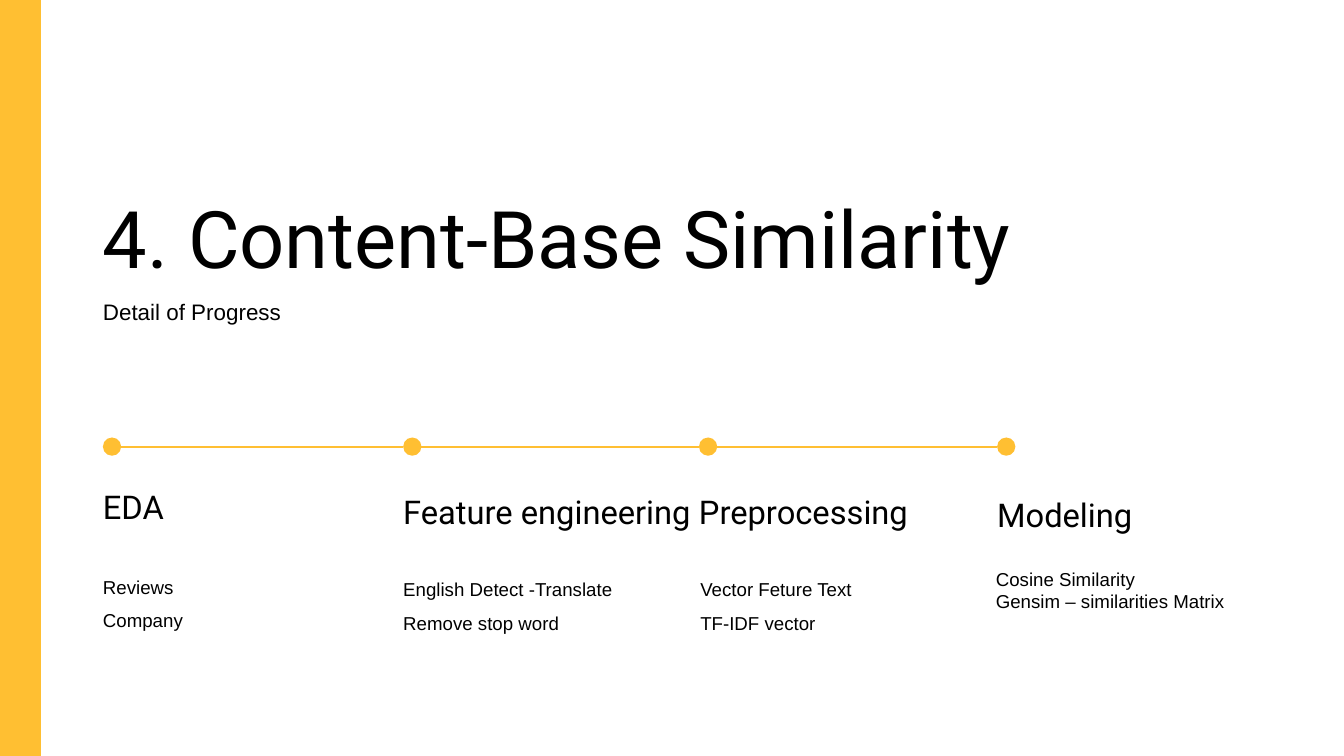
from lxml import etree
from pptx import Presentation
from pptx import util as u
from pptx.dml.color import RGBColor
from pptx.enum import shapes, text
from pptx.oxml.ns import qn

ACCENT = "FFBF32"
BLACK = "000000"
WIDTH, HEIGHT = 50.8, 28.58
LEFT = 3.89
DOT = 0.69
DOT_TOP = 16.54


def color(value):
    return RGBColor.from_string(value)


def write(shape, content, font="Arial", size=20, spacing=1.5, inset=(0, 0)):
    """Fill a shape with one paragraph per line of content."""
    frame = shape.text_frame
    frame.word_wrap = True
    frame.auto_size = text.MSO_AUTO_SIZE.NONE
    frame.vertical_anchor = text.MSO_ANCHOR.TOP
    frame.margin_left = frame.margin_right = u.Cm(inset[0])
    frame.margin_top = frame.margin_bottom = u.Cm(inset[1])
    for index, line in enumerate(content.split("\n")):
        paragraph = frame.paragraphs[0] if index == 0 else frame.add_paragraph()
        paragraph.text = line
        paragraph.alignment = text.PP_ALIGN.LEFT
        paragraph.line_spacing = spacing
        paragraph.font.name = font
        paragraph.font.size = u.Pt(size)
        paragraph.font.color.rgb = color(BLACK)


class Deck:
    """Holds the accent colour, the heading font and the current slide."""

    def __init__(self, accent=ACCENT, heading_font="Roboto"):
        self.accent = accent
        self.heading_font = heading_font
        self.presentation = Presentation()
        self.presentation.slide_width = u.Cm(WIDTH)
        self.presentation.slide_height = u.Cm(HEIGHT)
        self.slide = self.presentation.slides.add_slide(
            self.presentation.slide_layouts[5])

    def title(self, content, left, top, width, height):
        shape = self.slide.shapes.title
        shape.left, shape.top = u.Cm(left), u.Cm(top)
        shape.width, shape.height = u.Cm(width), u.Cm(height)
        write(shape, content, font=self.heading_font, size=85, spacing=1.2)

    def label(self, content, left, top, width, height, **style):
        shape = self.slide.shapes.add_textbox(
            u.Cm(left), u.Cm(top), u.Cm(width), u.Cm(height))
        write(shape, content, **style)

    def heading(self, content, left, top, width, height):
        self.label(content, left, top, width, height,
                   font=self.heading_font, size=35, spacing=1.4)

    def solid(self, kind, left, top, width, height):
        shape = self.slide.shapes.add_shape(
            kind, u.Cm(left), u.Cm(top), u.Cm(width), u.Cm(height))
        shape.shadow.inherit = False
        shape.fill.solid()
        shape.fill.fore_color.rgb = color(self.accent)
        shape.line.fill.background()

    def line(self, start, end, y):
        connector = self.slide.shapes.add_connector(
            shapes.MSO_CONNECTOR.STRAIGHT,
            u.Cm(start), u.Cm(y), u.Cm(end), u.Cm(y))
        connector.line.color.rgb = color(self.accent)
        connector.line.width = u.Pt(2.25)
        etree.SubElement(connector._element.spPr, qn("a:effectLst"))


# Each step: dot left, (heading, top, width, height),
# (details, left, top, width, height), details style
STEPS = [
    (LEFT, ("EDA", 17.83, 9.86, 1.6),
     ("Reviews\nCompany", LEFT, 21.34, 9.86, 2.03), {}),
    (15.24, ("Feature engineering", 18.01, 11.05, 1.5),
     ("English Detect -Translate\nRemove stop word", 15.24, 21.44, 9.91, 2.13), {}),
    (26.42, ("Preprocessing", 18.01, 9.91, 1.6),
     ("Vector Feture Text\nTF-IDF vector", 26.47, 21.44, 9.91, 6.32), {}),
    (37.69, ("Modeling", 18.11, 9.96, 1.6),
     ("Cosine Similarity\nGensim – similarities Matrix", 37.39, 21.34, 13.2, 2.82),
     {"spacing": 1.0, "inset": (0.25, 0.13)}),
]


def main():
    deck = Deck()

    # Side band
    deck.solid(shapes.MSO_SHAPE.RECTANGLE, 0, 0, 1.55, HEIGHT)

    # Title and subtitle
    deck.title("4. Content-Base Similarity", LEFT, 6.43, 44.58, 3.35)
    deck.label("Detail of Progress", LEFT, 10.77, 44.58, 1.17, size=24)

    # Timeline segments between neighbouring dots
    for current, following in zip(STEPS, STEPS[1:]):
        deck.line(current[0] + DOT, following[0], DOT_TOP + DOT / 2)

    # Dots, headings and details
    for left, (name, top, width, height), details, style in STEPS:
        deck.solid(shapes.MSO_SHAPE.OVAL, left, DOT_TOP, DOT, DOT)
        deck.heading(name, left, top, width, height)
        deck.label(*details, **style)

    deck.presentation.save("out.pptx")


if __name__ == "__main__":
    main()
